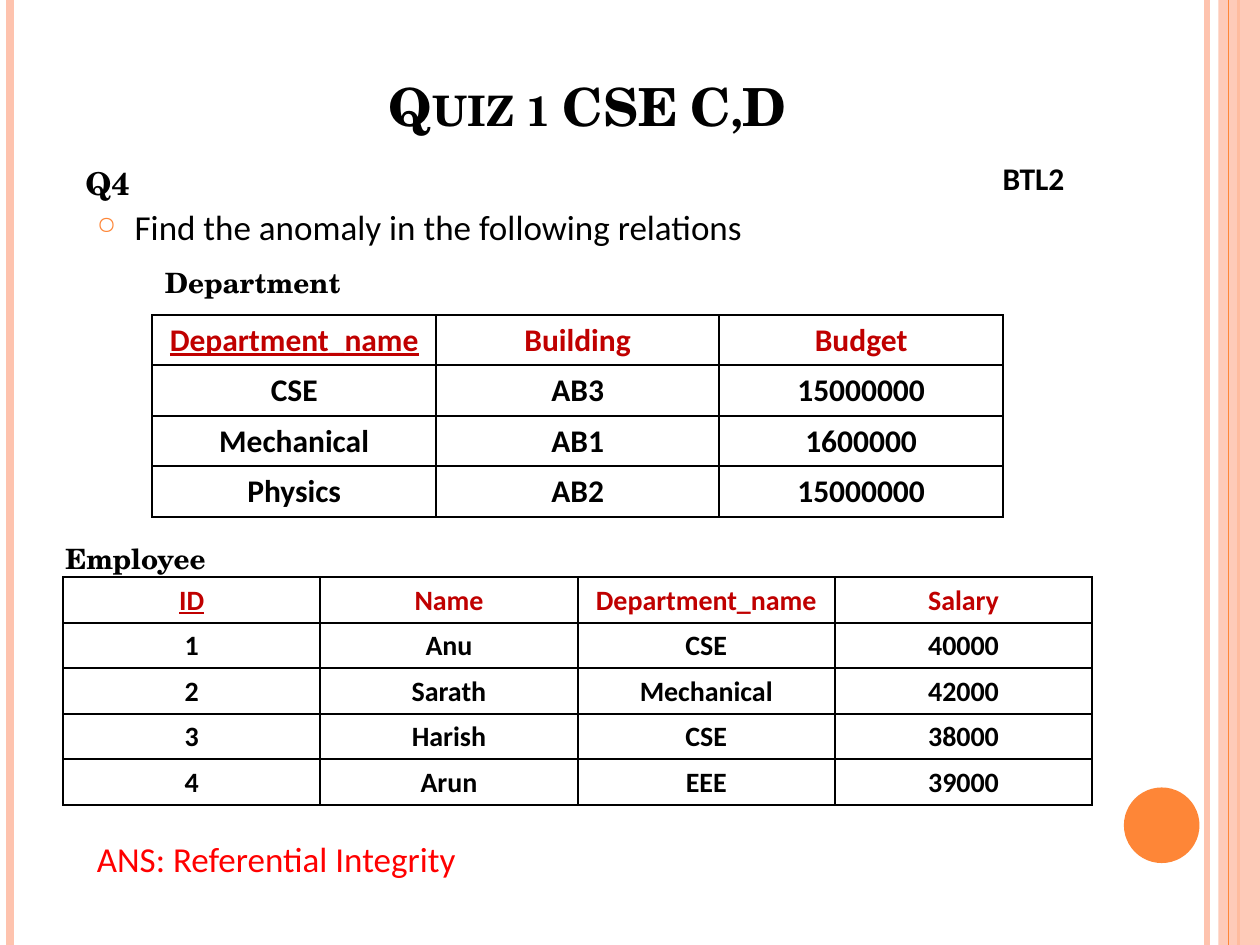
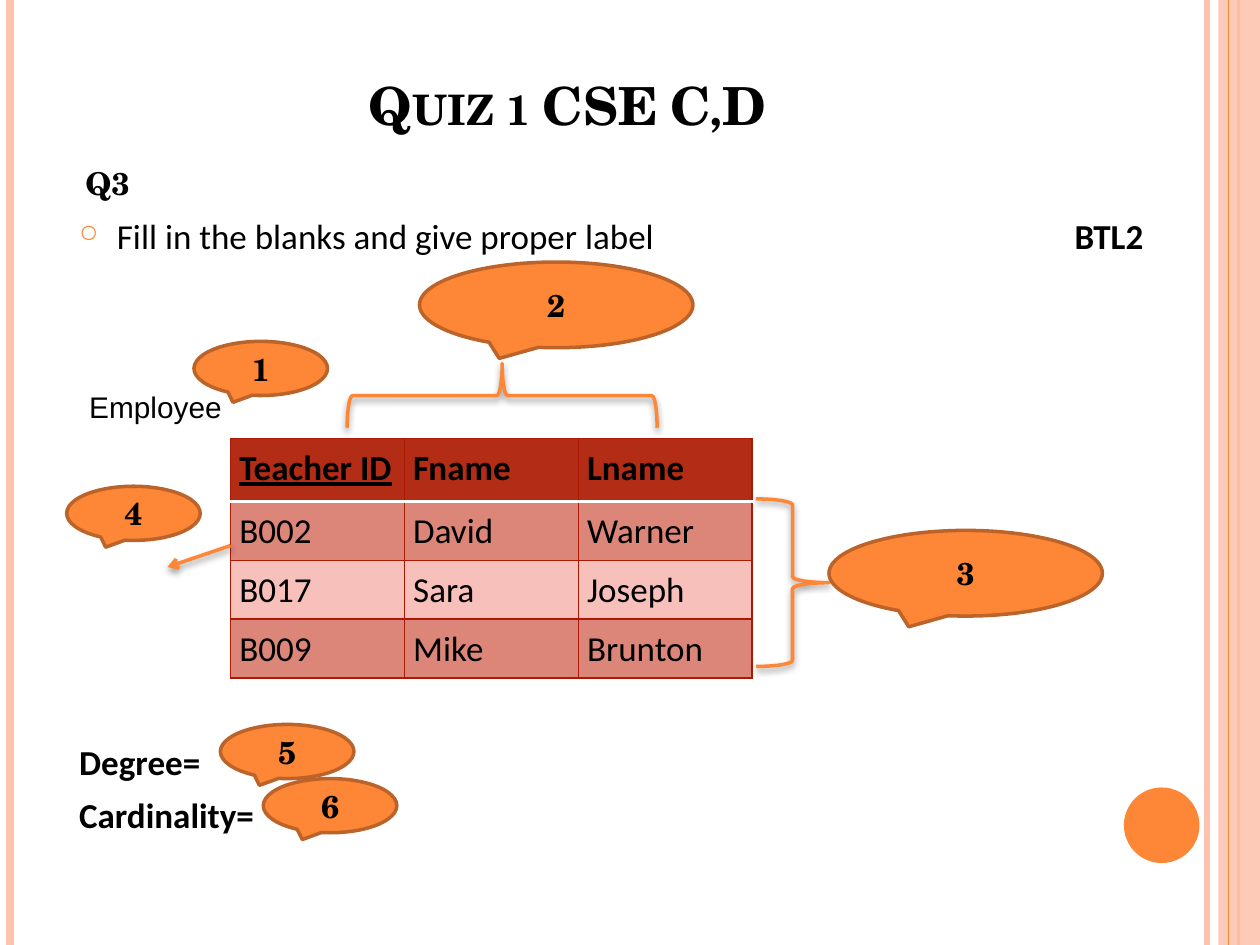
from lxml.etree import SubElement
from pptx import Presentation
from pptx.dml.color import RGBColor
from pptx.enum.shapes import MSO_CONNECTOR, MSO_SHAPE
from pptx.enum.text import MSO_ANCHOR, PP_ALIGN
from pptx.oxml.ns import qn
from pptx.util import Inches, Pt

BLACK = RGBColor(0x00, 0x00, 0x00)
WHITE = RGBColor(0xFF, 0xFF, 0xFF)
ORANGE = RGBColor(0xFE, 0x86, 0x37)
DARK_ORANGE = RGBColor(0xBC, 0x63, 0x29)
PEACH = RGBColor(0xFE, 0xC3, 0xAE)
DARK_RED = RGBColor(0xC0, 0x00, 0x00)
RED = RGBColor(0xFF, 0x00, 0x00)
BRICK = RGBColor(0xB3, 0x2C, 0x16)
RUST = RGBColor(0xAC, 0x18, 0x00)
ROSE = RGBColor(0xDC, 0x85, 0x79)
PINK = RGBColor(0xF7, 0xC0, 0xBB)
SERIF, SANS, ARIAL = "TeX Gyre Schola", "Calibri", "Arial"
WIDTH, HEIGHT = 10, 7.5


def inches(*values):
    return [Inches(v) for v in values]


def style(p, size, font=SANS, color=BLACK, bold=False):
    for r in p.runs:
        r.font.size, r.font.name, r.font.bold = Pt(size), font, bold
        r.font.color.rgb = color


def add_text(slide, box, text, size, **look):
    tb = slide.shapes.add_textbox(*inches(*box))
    tf = tb.text_frame
    tf.word_wrap = True
    tf.text = text
    for i, p in enumerate(tf.paragraphs):
        if i:
            p.space_before = Pt(6)
        style(p, size, **look)
    return tf


def add_bullet(slide, box, text):
    tf = add_text(slide, box, text, 20)
    pPr = tf.paragraphs[0]._p.get_or_add_pPr()
    pPr.set("marL", str(Inches(0.3)))
    pPr.set("indent", str(-Inches(0.3)))
    clr = SubElement(pPr, qn("a:buClr"))
    SubElement(clr, qn("a:srgbClr"), val=str(ORANGE))
    SubElement(pPr, qn("a:buSzPct"), val="70000")
    SubElement(pPr, qn("a:buChar"), char="○")


def set_effects(sp, shadow=False):
    effects = SubElement(sp._element.spPr, qn("a:effectLst"))
    if shadow:
        outer = SubElement(effects, qn("a:outerShdw"), blurRad=str(Pt(4)),
                           dist=str(Pt(2)), dir="5400000", rotWithShape="0")
        clr = SubElement(outer, qn("a:srgbClr"), val=str(BLACK))
        SubElement(clr, qn("a:alpha"), val="40000")


def add_line(slide, start, end, color, width, shadow=False):
    cx = slide.shapes.add_connector(MSO_CONNECTOR.STRAIGHT, *inches(*start, *end))
    cx.line.color.rgb = color
    cx.line.width = Pt(width)
    set_effects(cx, shadow)
    return cx


def add_arrow(slide, start, end):
    cx = add_line(slide, start, end, ORANGE, 2, shadow=True)
    SubElement(cx.line._get_or_add_ln(), qn("a:tailEnd"), type="arrow")


def add_solid(slide, kind, box, color, alpha=None):
    sp = slide.shapes.add_shape(kind, *inches(*box))
    sp.shadow.inherit = False
    sp.fill.solid()
    sp.fill.fore_color.rgb = color
    sp.line.fill.background()
    if alpha:
        clr = sp._element.spPr.find(qn("a:solidFill"))[0]
        SubElement(clr, qn("a:alpha"), val=str(alpha * 1000))
    return sp


def add_brace(slide, kind, box, rotation=0):
    sp = slide.shapes.add_shape(kind, *inches(*box))
    sp.rotation = rotation
    sp.fill.background()
    sp.line.color.rgb = ORANGE
    sp.line.width = Pt(2)
    set_effects(sp, shadow=True)


def add_callout(slide, box, label):
    sp = add_solid(slide, MSO_SHAPE.OVAL_CALLOUT, box, ORANGE)
    sp.line.color.rgb = DARK_ORANGE
    sp.line.width = Pt(2)
    tf = sp.text_frame
    tf.text = label
    tf.vertical_anchor = MSO_ANCHOR.MIDDLE
    p = tf.paragraphs[0]
    p.alignment = PP_ALIGN.CENTER
    style(p, 18, SERIF, bold=True)


def set_border(cell, sides, color, width):
    tcPr = cell._tc.get_or_add_tcPr()
    for side in sides:
        ln = SubElement(tcPr, qn(f"a:ln{side}"), w=str(Pt(width)))
        fill = SubElement(ln, qn("a:solidFill"))
        SubElement(fill, qn("a:srgbClr"), val=str(color))


def add_grid(slide, box, rows, heights, pad):
    x, y, w, h = box
    frame = slide.shapes.add_table(len(rows), len(rows[0]), *inches(*box))
    tbl = frame.table
    tbl.first_row = tbl.horz_banding = False
    for col in tbl.columns:
        col.width = Inches(w / len(rows[0]))
    for i, (row, height) in enumerate(zip(rows, heights)):
        tbl.rows[i].height = Inches(height)
        for j, value in enumerate(row):
            cell = tbl.cell(i, j)
            cell.text = value
            cell.margin_left = cell.margin_right = Inches(pad[0])
            cell.margin_top, cell.margin_bottom = inches(*pad[1:])
            yield i, cell, cell.text_frame.paragraphs[0]
    tbl.cell(0, 0).text_frame.paragraphs[0].runs[0].font.underline = True


def add_relation(slide, box, rows, size, side_pad):
    heights = [box[3] / len(rows)] * len(rows)
    for i, cell, p in add_grid(slide, box, rows, heights, (side_pad, 0.05, 0.04)):
        set_border(cell, "LRTB", BLACK, 1.3)
        cell.fill.background()
        p.alignment = PP_ALIGN.CENTER
        style(p, size, color=BLACK if i else DARK_RED, bold=True)


def add_teacher_table(slide, box, rows):
    body_height = (box[3] - 0.5) / (len(rows) - 1)
    heights = [0.5] + [body_height] * (len(rows) - 1)
    for i, cell, p in add_grid(slide, box, rows, heights, (0.07, 0.07, 0.06)):
        set_border(cell, "LR", RUST, 1)
        set_border(cell, "T", *((WHITE, 2) if i == 1 else (RUST, 1)))
        set_border(cell, "B", *((WHITE, 2) if i == 0 else (RUST, 1)))
        cell.fill.solid()
        cell.fill.fore_color.rgb = BRICK if i == 0 else ROSE if i % 2 else PINK
        style(p, 20, bold=i == 0)


def add_frame(slide):
    for x, color, width in ((9.58, PEACH, 3), (0.08, PEACH, 4.5), (9.83, ORANGE, 1.5)):
        add_line(slide, (x, 0), (x, HEIGHT), color, width)
    add_solid(slide, MSO_SHAPE.RECTANGLE, (9.67, 0, 0.33, HEIGHT), PEACH, alpha=87)
    add_line(slide, (9.75, 0), (9.75, HEIGHT), ORANGE, 0.75)
    add_solid(slide, MSO_SHAPE.OVAL, (8.92, 6.25, 0.6, 0.6), ORANGE)


def add_quiz_slide(prs, title_pos, number):
    slide = prs.slides.add_slide(prs.slide_layouts[6])
    add_frame(slide)
    tf = add_text(slide, (*title_pos, 8.17, 0.88), "Quiz 1 CSE C,D", 30,
                  font=SERIF, bold=True)
    tf.vertical_anchor = MSO_ANCHOR.BOTTOM
    p = tf.paragraphs[0]
    p.alignment = PP_ALIGN.CENTER
    p.runs[0].font._element.set("cap", "small")
    add_text(slide, (0.58, 1.25, 1.92, 0.4), number, 18, font=SERIF, bold=True)
    return slide


def add_anomaly_slide(prs):
    slide = add_quiz_slide(prs, (0.58, 0.26), "Q4")
    add_bullet(slide, (0.67, 1.58, 8.92, 0.44),
               "Find the anomaly in the following relations")
    add_text(slide, (7.86, 1.21, 0.8, 0.4), "BTL2", 18, bold=True)
    add_relation(slide, (0.5, 4.58, 8.17, 1.81), [
        ("ID", "Name", "Department_name", "Salary"),
        ("1", "Anu", "CSE", "40000"),
        ("2", "Sarath", "Mechanical", "42000"),
        ("3", "Harish", "CSE", "38000"),
        ("4", "Arun", "EEE", "39000"),
    ], 16, 0.09)
    add_relation(slide, (1.21, 2.5, 6.75, 1.6), [
        ("Department_name", "Building", "Budget"),
        ("CSE", "AB3", "15000000"),
        ("Mechanical", "AB1", "1600000"),
        ("Physics", "AB2", "15000000"),
    ], 18, 0.1)
    for x, y, name in ((1.21, 2.06, "Department"), (0.42, 4.25, "Employee")):
        add_text(slide, (x, y, 1.96, 0.37), name, 16, font=SERIF, bold=True)
    add_text(slide, (0.67, 6.6, 6, 0.44), "ANS: Referential Integrity", 20, color=RED)


def add_labels_slide(prs):
    slide = add_quiz_slide(prs, (0.42, 0.25), "Q3")
    add_bullet(slide, (0.53, 1.65, 7.5, 0.44), "Fill in the blanks and give proper label")
    add_text(slide, (8.43, 1.65, 0.9, 0.44), "BTL2", 20, bold=True)
    add_text(slide, (0.53, 5.83, 2, 0.86), "Degree=\nCardinality=", 20, bold=True)
    add_teacher_table(slide, (1.83, 3.48, 4.14, 1.9), [
        ("Teacher ID", "Fname", "Lname"),
        ("B002", "David", "Warner"),
        ("B017", "Sara", "Joseph"),
        ("B009", "Mike", "Brunton"),
    ])
    add_text(slide, (0.61, 3.04, 1.61, 0.37), "Employee", 17, font=ARIAL)
    add_brace(slide, MSO_SHAPE.RIGHT_BRACE, (6, 3.96, 0.58, 1.33))
    add_brace(slide, MSO_SHAPE.LEFT_BRACE, (3.73, 1.91, 0.51, 2.46), 90)
    add_arrow(slide, (1.83, 4.33), (1.33, 4.5))
    small, large = (1.06, 0.43), (2.17, 0.68)
    callouts = [(1.54, 2.71, *small), (3.33, 2.08, *large), (6.58, 4.21, *large),
                (0.53, 3.86, *small), (1.75, 5.75, *small), (2.09, 6.18, *small)]
    for number, box in enumerate(callouts, 1):
        add_callout(slide, box, str(number))


def main():
    prs = Presentation()
    prs.slide_width, prs.slide_height = inches(WIDTH, HEIGHT)
    add_anomaly_slide(prs)
    add_labels_slide(prs)
    prs.save("out.pptx")


if __name__ == "__main__":
    main()
